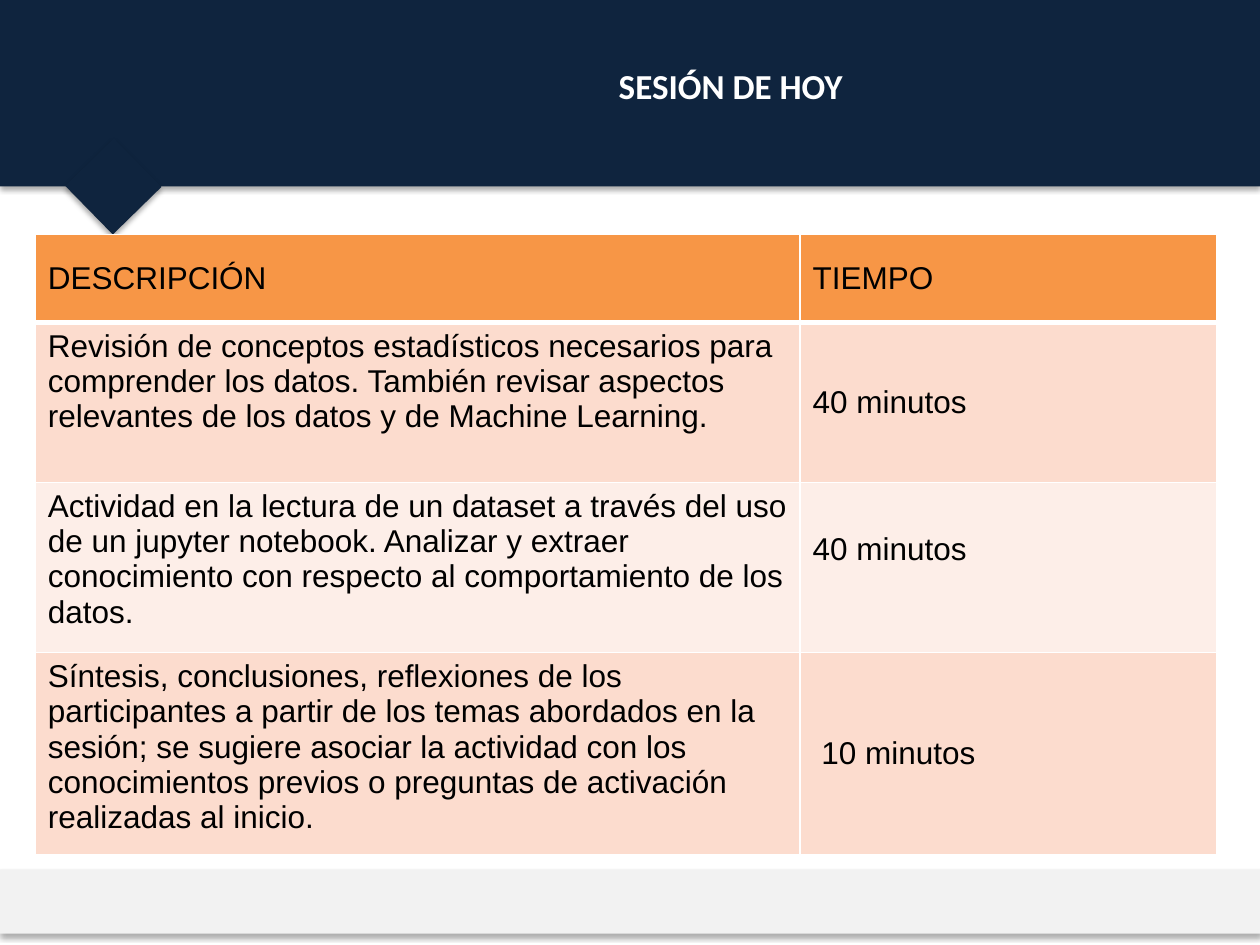
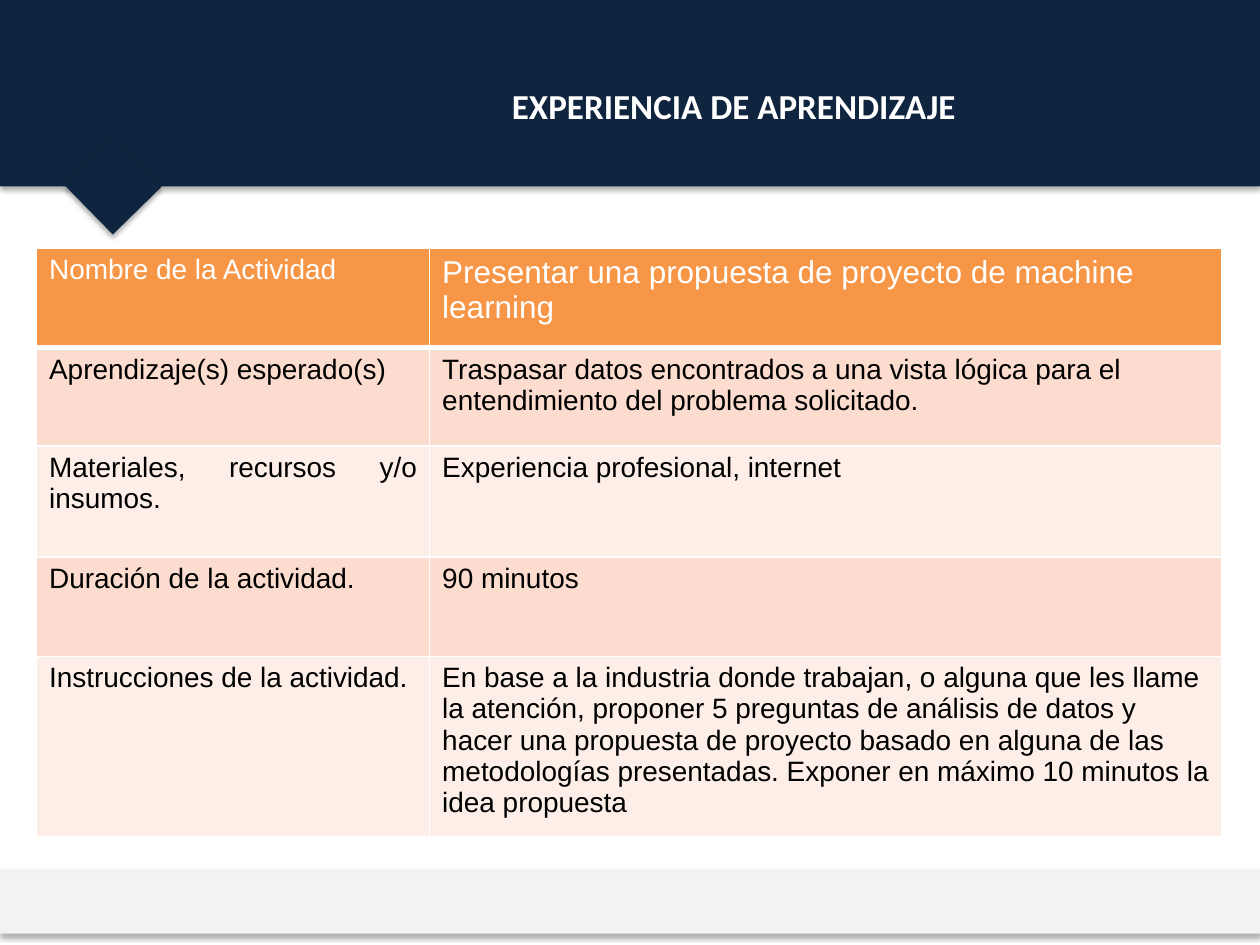
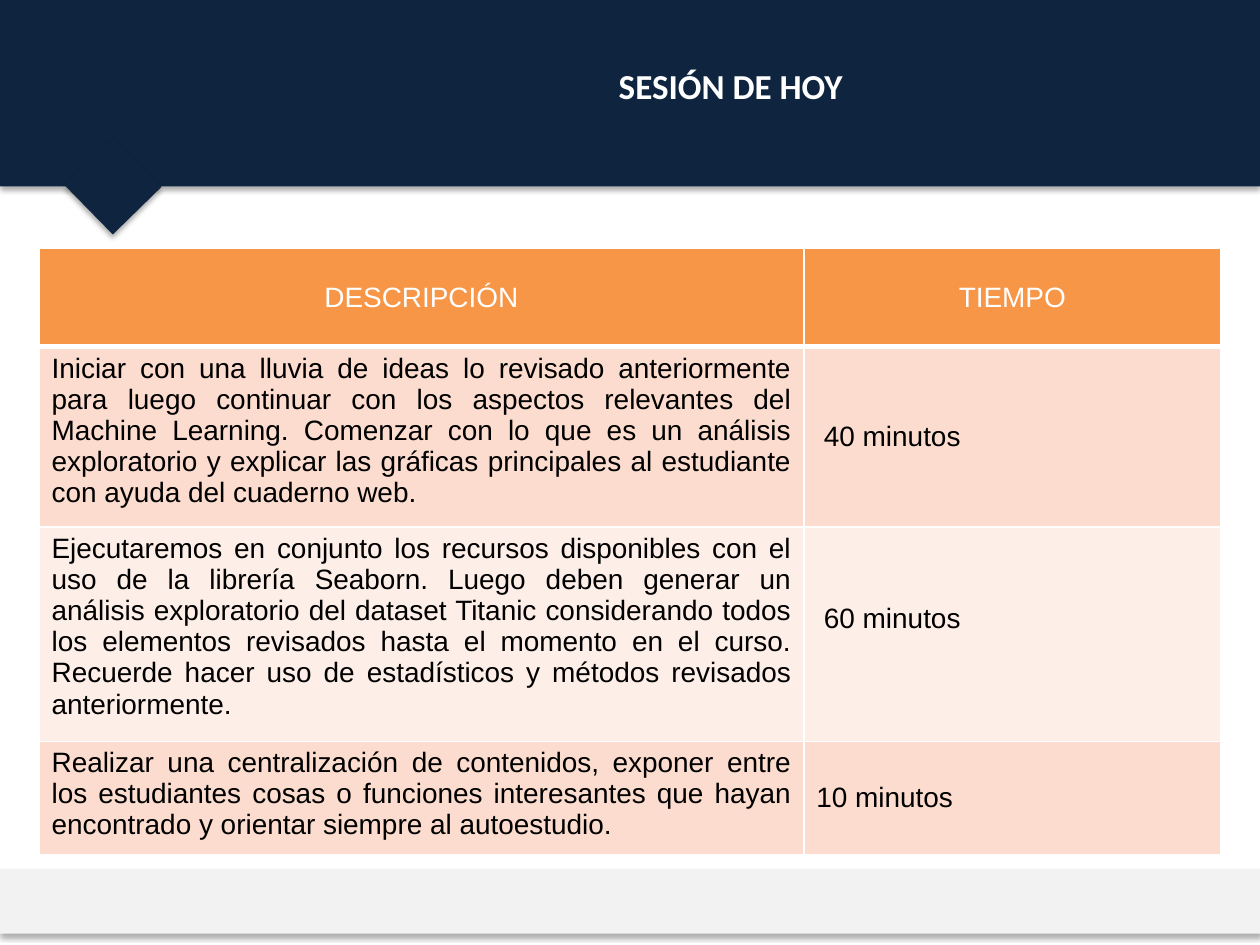
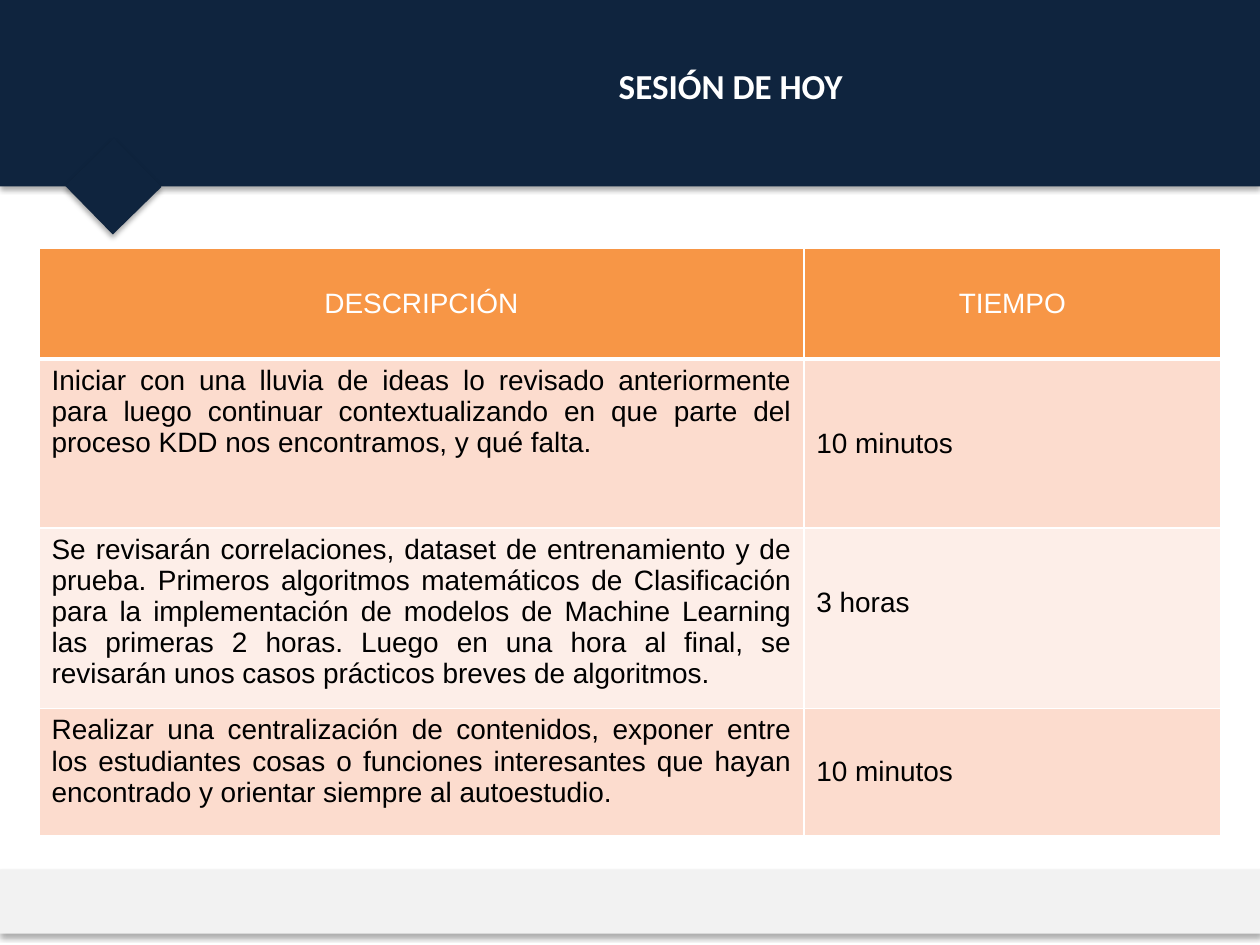
from pptx import Presentation
from pptx.dml.color import RGBColor
from pptx.enum.shapes import MSO_SHAPE
from pptx.enum.text import MSO_ANCHOR, MSO_AUTO_SIZE, PP_ALIGN
from pptx.oxml import parse_xml
from pptx.oxml.ns import nsdecls
from pptx.util import Inches, Pt

RECT = MSO_SHAPE.RECTANGLE
TOP, MIDDLE = MSO_ANCHOR.TOP, MSO_ANCHOR.MIDDLE
LEFT, CENTER, JUSTIFY = PP_ALIGN.LEFT, PP_ALIGN.CENTER, PP_ALIGN.JUSTIFY
FIT_SHAPE = MSO_AUTO_SIZE.SHAPE_TO_FIT_TEXT

NAVY, GREY, WHITE, BLACK = "0F243E", "F2F2F2", "FFFFFF", "000000"
ORANGE, PEACH, CREAM = "F79646", "FCDCCE", "FDEEE8"
TITLE_BOX = (2.23, 0.46, 7.14, 0.44)
SESSION = "SESIÓN DE HOY"
SESSION_COLS = (6.07, 3.31)
SESSION_HEAD = ("DESCRIPCIÓN", "TIEMPO")
SESSION_CLOSE = (
    "Realizar una centralización de contenidos, exponer entre los estudiantes cosas "
    "o funciones interesantes que hayan encontrado y orientar siempre al autoestudio.",
    "10 minutos",
)
SESSION_STYLE = {"size": 16, "head_color": WHITE, "head_aligns": (CENTER, CENTER),
                 "aligns": (JUSTIFY, JUSTIFY), "head_anchor": MIDDLE,
                 "anchors": (TOP, MIDDLE)}
REVIEW_STYLE = {**SESSION_STYLE, "size": 18, "head_color": BLACK,
                "head_aligns": (LEFT, LEFT), "aligns": (LEFT, LEFT)}
ACTIVITY_STYLE = {**SESSION_STYLE, "head_aligns": (JUSTIFY, LEFT),
                  "aligns": (JUSTIFY, LEFT), "head_anchor": TOP, "anchors": (TOP, TOP)}


def rgb(color):
    """Turn a hex string into a colour."""
    return RGBColor.from_string(color)


def style_font(font, **values):
    """Set the colour and the given attributes of a font."""
    font.color.rgb = rgb(values.pop("color"))
    for name, value in values.items():
        setattr(font, name, value)


def place(shape, box):
    """Move and size a shape to a box in inches."""
    for name, value in zip(("left", "top", "width", "height"), box):
        setattr(shape, name, Inches(value))


def add_shadow(shape):
    """Give a shape the soft shadow that falls below the bands."""
    shape.element.spPr.append(parse_xml(
        f'<a:effectLst {nsdecls("a")}><a:outerShdw blurRad="{Pt(3.1)}" dist="{Pt(1.8)}" '
        'dir="5400000" rotWithShape="0"><a:srgbClr val="000000"><a:alpha val="33000"/>'
        '</a:srgbClr></a:outerShdw></a:effectLst>'))


def add_bands(s, layout):
    """Draw the shared bands and hand them over to the layout."""
    bands = (((0, 0, 10, 1.48), NAVY, 0), ((0, 6.9, 10, 0.51), GREY, 0),
             ((0.63, 1.21, 0.54, 0.54), NAVY, 45.6))
    for index, (box, color, angle) in enumerate(bands):
        sp = s.shapes.add_shape(RECT, *map(Inches, box))
        sp.fill.solid()
        sp.fill.fore_color.rgb = rgb(color)
        sp.line.fill.background()
        sp.rotation = angle
        add_shadow(sp)
        layout.shapes.element.insert(2 + index, sp.element)


def add_title(s, text, box):
    """Fill the title placeholder."""
    title = s.shapes.title
    place(title, box)
    tf = title.text_frame
    tf.text = text
    tf.word_wrap = True
    tf.auto_size = FIT_SHAPE
    tf.vertical_anchor = TOP
    p = tf.paragraphs[0]
    p.alignment = CENTER
    style_font(p.runs[0].font, name="Calibri", size=Pt(20), bold=True, color=WHITE)


def add_borders(cell, row):
    """Draw white cell borders, thicker under the header row."""
    widths = {"L": 1, "R": 1, "T": 3 if row == 1 else 1, "B": 3 if row == 0 else 1}
    for side, width in widths.items():
        cell._tc.get_or_add_tcPr().append(parse_xml(
            f'<a:ln{side} {nsdecls("a")} w="{Pt(width)}"><a:solidFill>'
            f'<a:srgbClr val="{WHITE}"/></a:solidFill></a:ln{side}>'))


def fill_cell(cell, text, row, col, style, size):
    """Write one cell in the style of its row and column."""
    head = row == 0
    add_borders(cell, row)
    cell.fill.solid()
    cell.fill.fore_color.rgb = rgb(ORANGE if head else PEACH if row % 2 else CREAM)
    cell.vertical_anchor = style["head_anchor"] if head else style["anchors"][col]
    cell.text = text
    p = cell.text_frame.paragraphs[0]
    p.alignment = style["head_aligns" if head else "aligns"][col]
    style_font(p.runs[0].font, name="Arial", size=Pt(size), bold=False,
               color=style["head_color"] if head else BLACK)


def add_grid(s, origin, cols, heights, rows, style, sizes=None, margins=None):
    """Add a table; sizes and margins hold exceptions by (row, column)."""
    box = (*origin, sum(cols), sum(heights))
    table = s.shapes.add_table(len(rows), len(cols), *map(Inches, box)).table
    for column, width in zip(table.columns, cols):
        column.width = Inches(width)
    for line, height in zip(table.rows, heights):
        line.height = Inches(height)
    for r, texts in enumerate(rows):
        for c, text in enumerate(texts):
            cell = table.cell(r, c)
            fill_cell(cell, text, r, c, style, (sizes or {}).get((r, c), style["size"]))
            for name, value in (margins or {}).get((r, c), {}).items():
                setattr(cell, name, Inches(value))


REVIEW_ROWS = (
    SESSION_HEAD,
    ("Revisión de conceptos estadísticos necesarios para comprender los datos. También "
     "revisar aspectos relevantes de los datos y de Machine Learning.", "40 minutos"),
    ("Actividad en la lectura de un dataset a través del uso de un jupyter notebook. "
     "Analizar y extraer conocimiento con respecto al comportamiento de los datos.",
     "40 minutos"),
    ("Síntesis, conclusiones, reflexiones de los participantes a partir de los temas "
     "abordados en la sesión; se sugiere asociar la actividad con los conocimientos "
     "previos o preguntas de activación realizadas al inicio.", "10 minutos"),
)
ACTIVITY_ROWS = (
    ("Nombre de la Actividad", "Presentar una propuesta de proyecto de machine learning"),
    ("Aprendizaje(s) esperado(s)", "Traspasar datos encontrados a una vista lógica para el "
     "entendimiento del problema solicitado."),
    ("Materiales, recursos y/o insumos.", "Experiencia profesional, internet"),
    ("Duración de la actividad.", "90 minutos"),
    ("Instrucciones de la actividad.", "En base a la industria donde trabajan, o alguna que "
     "les llame la atención, proponer 5 preguntas de análisis de datos y hacer una propuesta "
     "de proyecto basado en alguna de las metodologías presentadas. Exponer en máximo 10 "
     "minutos la idea propuesta"),
)
EXPLORATION_ROWS = (
    SESSION_HEAD,
    ("Iniciar con una lluvia de ideas lo revisado anteriormente para luego continuar con los "
     "aspectos relevantes del Machine Learning. Comenzar con lo que es un análisis "
     "exploratorio y explicar las gráficas principales al estudiante con ayuda del "
     "cuaderno web.", "40 minutos"),
    ("Ejecutaremos en conjunto los recursos disponibles con el uso de la librería Seaborn. "
     "Luego deben generar un análisis exploratorio del dataset Titanic considerando todos "
     "los elementos revisados hasta el momento en el curso. Recuerde hacer uso de "
     "estadísticos y métodos revisados anteriormente.", "60 minutos"),
    SESSION_CLOSE,
)
CLASSIFICATION_ROWS = (
    SESSION_HEAD,
    ("Iniciar con una lluvia de ideas lo revisado anteriormente para luego continuar "
     "contextualizando en que parte del proceso KDD nos encontramos, y qué falta.",
     "10 minutos"),
    ("Se revisarán correlaciones, dataset de entrenamiento y de prueba. Primeros algoritmos "
     "matemáticos de Clasificación para la implementación de modelos de Machine Learning las "
     "primeras 2 horas. Luego en una hora al final, se revisarán unos casos prácticos breves "
     "de algoritmos.", "3 horas"),
    SESSION_CLOSE,
)
SLIDES = (
    (SESSION, TITLE_BOX, {
        "origin": (0.28, 1.86), "cols": SESSION_COLS, "heights": (0.7, 1.27, 1.35, 1.6),
        "rows": REVIEW_ROWS, "style": REVIEW_STYLE,
        "margins": {(2, 1): {"margin_bottom": 0.33}, (3, 1): {"margin_left": 0.17}}}),
    ("EXPERIENCIA DE APRENDIZAJE", (3.48, 0.62, 4.69, 0.44), {
        "origin": (0.29, 1.97), "cols": (3.12, 6.29),
        "heights": (0.79, 0.78, 0.88, 0.79, 1.42),
        "rows": ACTIVITY_ROWS, "style": ACTIVITY_STYLE, "sizes": {(0, 1): 18}}),
    (SESSION, TITLE_BOX, {
        "origin": (0.31, 1.97), "cols": SESSION_COLS, "heights": (0.78, 1.43, 1.7, 0.9),
        "rows": EXPLORATION_ROWS, "style": SESSION_STYLE,
        "margins": {(1, 1): {"margin_left": 0.16},
                    (2, 1): {"margin_left": 0.16, "margin_bottom": 0.3}}}),
    (SESSION, TITLE_BOX, {
        "origin": (0.31, 1.97), "cols": SESSION_COLS, "heights": (0.88, 1.34, 1.43, 1.01),
        "rows": CLASSIFICATION_ROWS, "style": SESSION_STYLE,
        "margins": {(2, 1): {"margin_bottom": 0.3}}}),
)


def main():
    """Build the four slides and save them."""
    prs = Presentation()
    prs.slide_width, prs.slide_height = Inches(10), Inches(7.5)
    layout = prs.slide_layouts.get_by_name("Title Only")
    for index, (title, box, grid) in enumerate(SLIDES):
        s = prs.slides.add_slide(layout)
        if index == 0:
            add_bands(s, layout)
        add_title(s, title, box)
        add_grid(s, **grid)
    prs.save("out.pptx")


if __name__ == "__main__":
    main()
